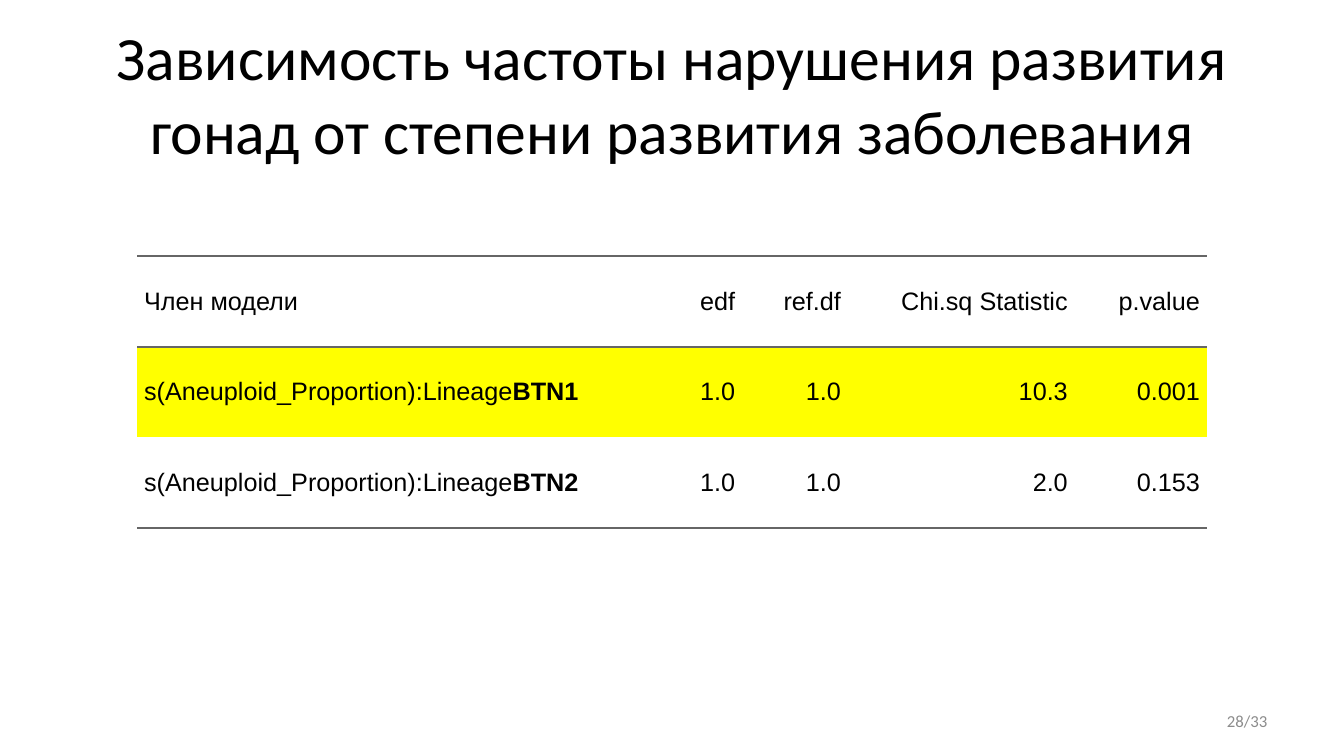
from lxml.etree import SubElement
from pptx import Presentation
from pptx.dml.color import RGBColor
from pptx.enum.text import MSO_ANCHOR as Anchor, PP_ALIGN as Align
from pptx.oxml.ns import qn
from pptx.util import Inches, Pt

COLORS = {"text": "000000", "muted": "8C8C8C", "rule": "666666", "highlight": "FFFF00"}

presentation = Presentation()
presentation.slide_width = Inches(13.33)
presentation.slide_height = Inches(7.5)
slide = presentation.slides.add_slide(presentation.slide_layouts[6])


def add_run(paragraph, text, font, size, color, bold=False):
    run = paragraph.add_run()
    run.text = text
    run.font.name = font
    run.font.size = Pt(size)
    run.font.bold = bold
    run.font.color.rgb = RGBColor.from_string(COLORS[color])


def add_border(cell, side, visible):
    line = SubElement(cell._tc.get_or_add_tcPr(), qn(f"a:ln{side}"), w=str(Pt(1.5)))
    if visible:
        fill = SubElement(line, qn("a:solidFill"))
        SubElement(fill, qn("a:srgbClr"), val=COLORS["rule"])
    else:
        SubElement(line, qn("a:noFill"))


labels = [
    ((0.67, 0.3, 12, 1.25), Align.CENTER, 44, "text",
     "Зависимость частоты нарушения развития гонад от степени развития заболевания"),
    ((9.56, 6.95, 3.11, 0.4), Align.RIGHT, 12, "muted", "28/33"),
]
for box, alignment, size, color, text in labels:
    frame = slide.shapes.add_textbox(*map(Inches, box)).text_frame
    frame.word_wrap = True
    frame.vertical_anchor = Anchor.MIDDLE
    paragraph = frame.paragraphs[0]
    paragraph.alignment = alignment
    add_run(paragraph, text, "Calibri", size, color)

term = "s(Aneuploid_Proportion):Lineage"
rows = [
    [["Член модели"], ["edf"], ["ref.df"], ["Chi.sq Statistic"], ["p.value"]],
    [[term, "BTN1"], ["1.0"], ["1.0"], ["10.3"], ["0.001"]],
    [[term, "BTN2"], ["1.0"], ["1.0"], ["2.0"], ["0.153"]],
]
column_widths = [5.2, 0.8, 1.05, 2.25, 1.31]
row_height = 0.9
ruled_edges = {0, 1, len(rows)}
highlighted_row = 1
padding = Inches(0.07)

table = slide.shapes.add_table(
    len(rows), len(column_widths), Inches(1.36), Inches(2.54),
    Inches(sum(column_widths)), Inches(row_height * len(rows))).table
table.first_row = False
table.horz_banding = False
for column, width in zip(table.columns, column_widths):
    column.width = Inches(width)

for row_index, row in enumerate(rows):
    table.rows[row_index].height = Inches(row_height)
    for column_index, pieces in enumerate(row):
        cell = table.cell(row_index, column_index)
        cell.margin_left = cell.margin_right = padding
        cell.margin_top = cell.margin_bottom = padding
        cell.vertical_anchor = Anchor.MIDDLE
        for side in "LR":
            add_border(cell, side, False)
        add_border(cell, "T", row_index in ruled_edges)
        add_border(cell, "B", row_index + 1 in ruled_edges)
        if row_index == highlighted_row:
            cell.fill.solid()
            cell.fill.fore_color.rgb = RGBColor.from_string(COLORS["highlight"])
        else:
            cell.fill.background()
        paragraph = cell.text_frame.paragraphs[0]
        paragraph.alignment = Align.RIGHT if column_index else Align.LEFT
        for piece_index, piece in enumerate(pieces):
            add_run(paragraph, piece, "Arial", 18, "text", bold=piece_index > 0)

presentation.save("out.pptx")
